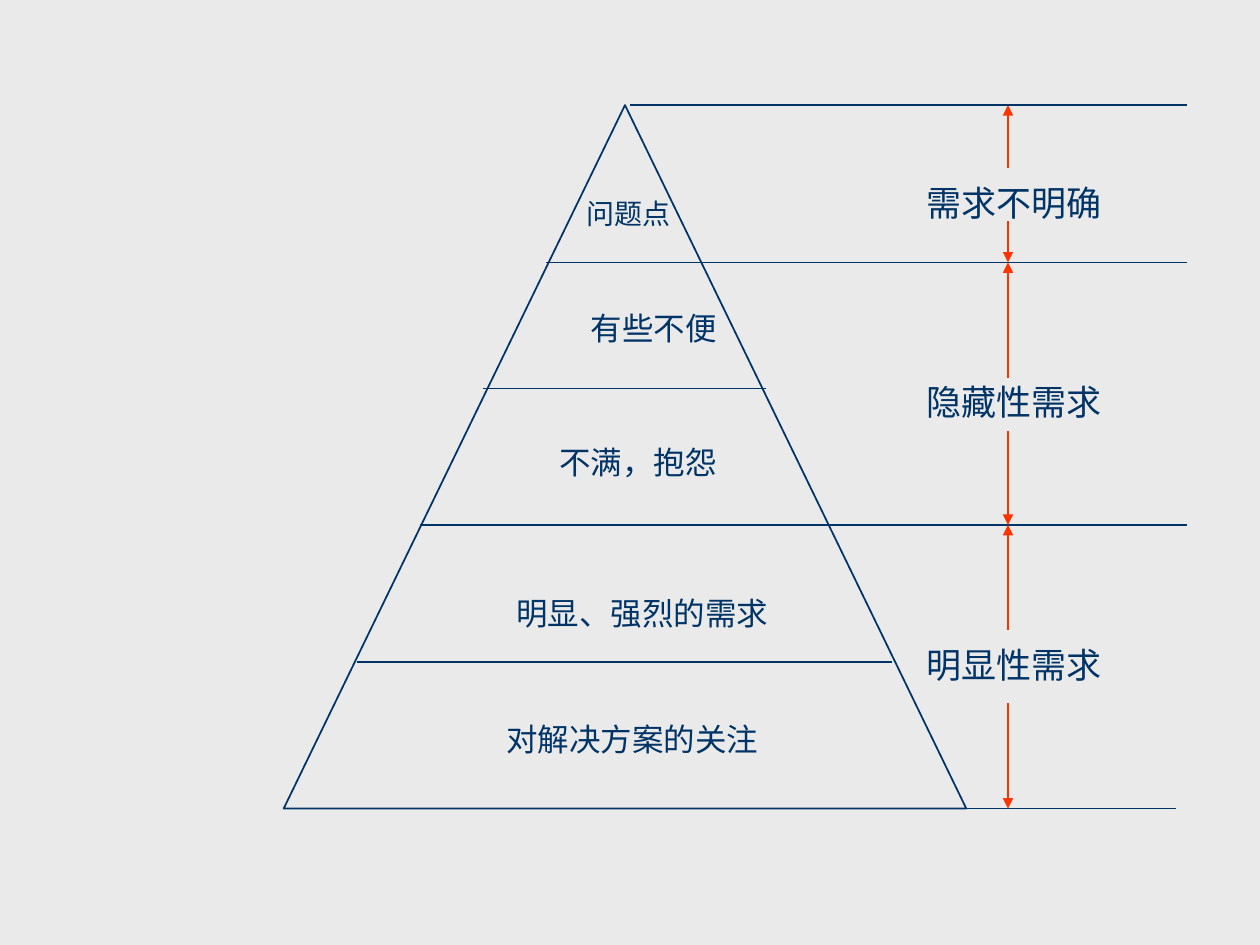
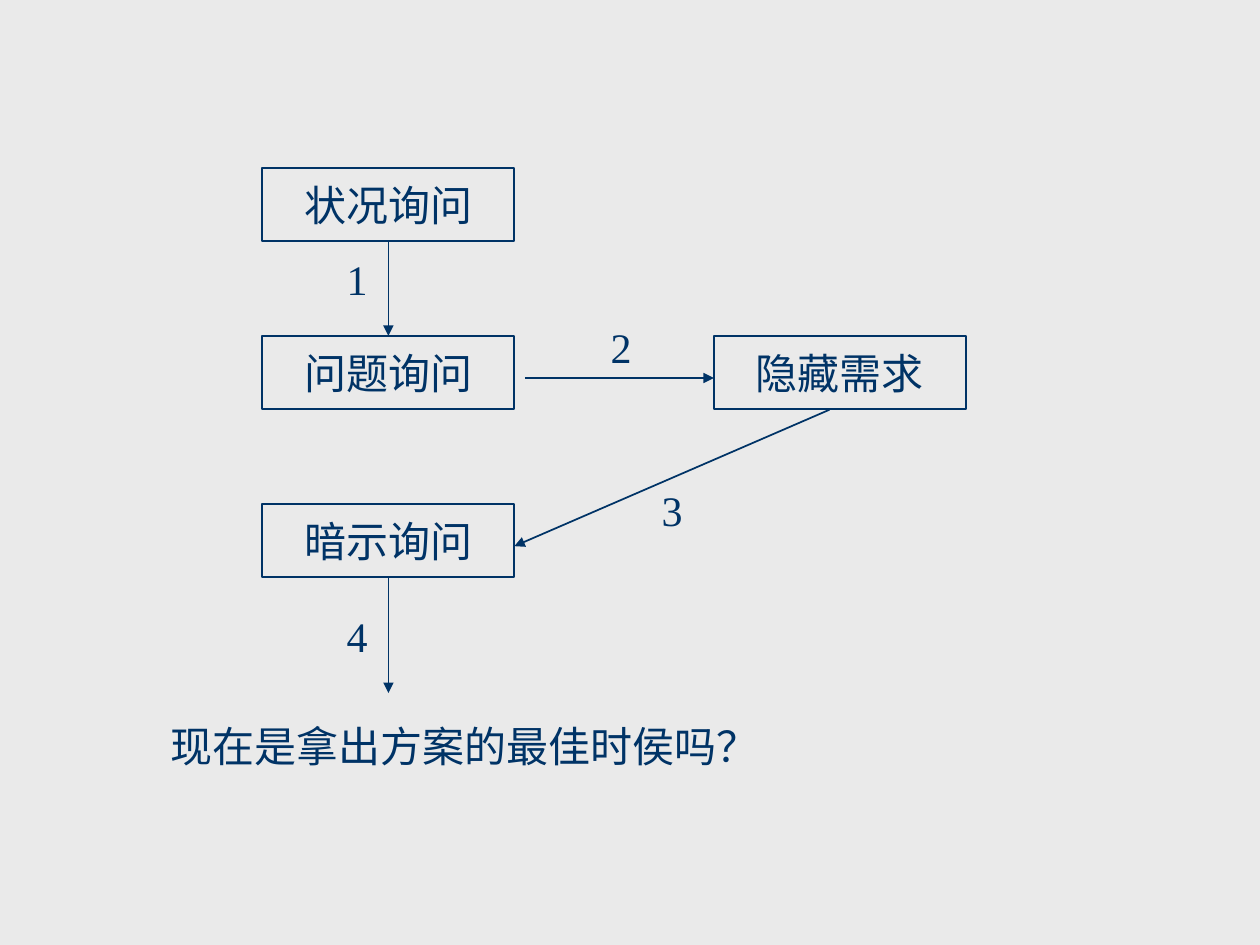
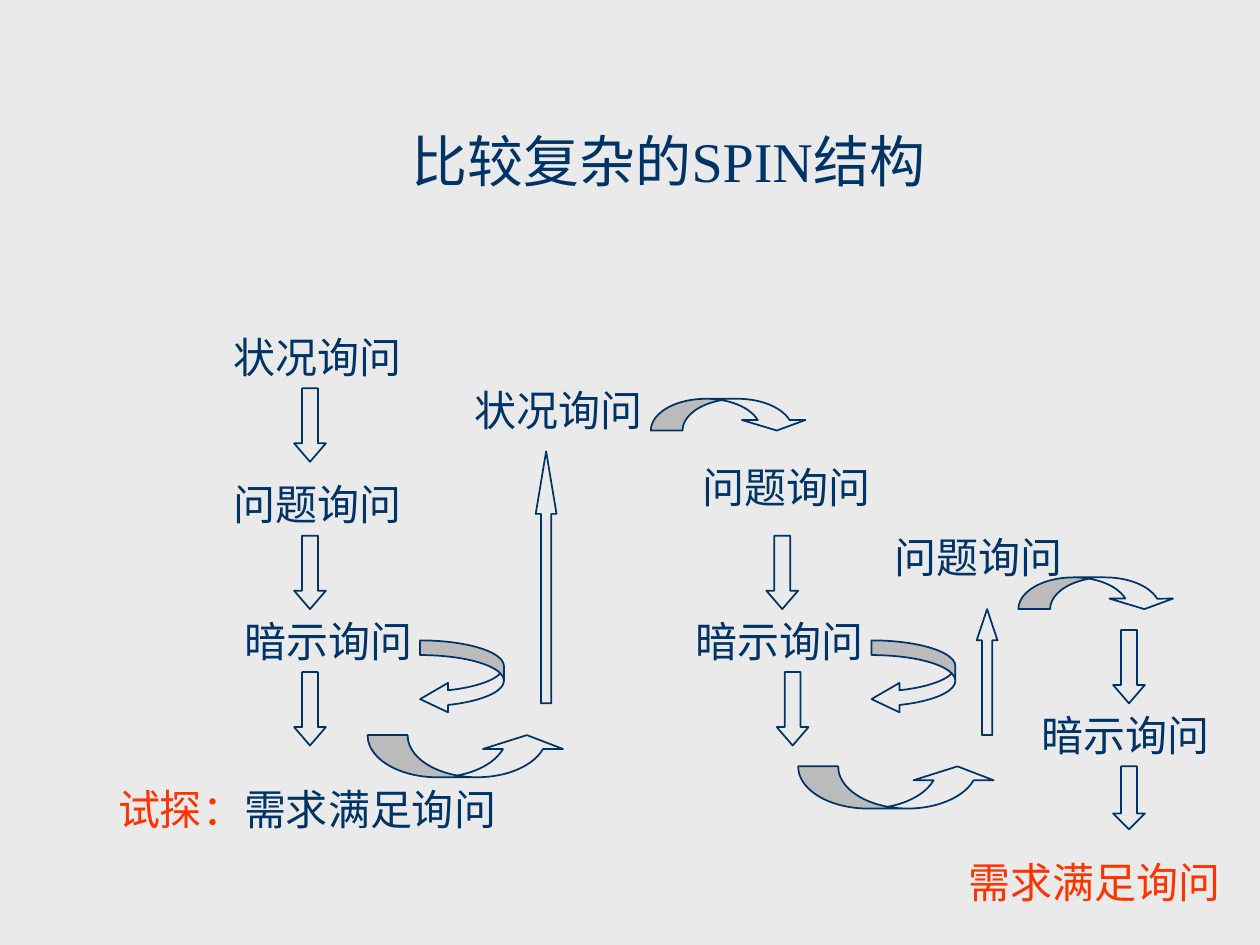
import dataclasses

import pptx
import pptx.dml.color
import pptx.enum.shapes
import pptx.enum.text
import pptx.oxml
import pptx.oxml.ns
import pptx.util

Cm = pptx.util.Cm
Shapes = pptx.enum.shapes.MSO_SHAPE
Align = pptx.enum.text.PP_ALIGN
Anchor = pptx.enum.text.MSO_ANCHOR


@dataclasses.dataclass(frozen=True)
class Theme:
    paper: str = "EAEAEA"
    ink: str = "003366"
    accent: str = "FF3300"
    font: str = "Times New Roman"
    title: int = 32
    text: int = 24
    need: int = 20
    level: int = 18
    peak: int = 16
    line: float = 1


def rgb(code):
    return pptx.dml.color.RGBColor.from_string(code)


class Slides:
    def __init__(self, theme):
        self.theme = theme
        self.deck = pptx.Presentation()
        self.deck.slide_width, self.deck.slide_height = Cm(25.4), Cm(19.05)
        self.page = None
        background = self.deck.slide_master.background.fill
        background.solid()
        background.fore_color.rgb = rgb(theme.paper)

    def new_page(self, title=None):
        layout = self.deck.slide_layouts.get_by_name("Title Only" if title else "Blank")
        self.page = self.deck.slides.add_slide(layout)
        if title:
            holder = self.page.shapes.title
            holder.left, holder.top = Cm(7.77), Cm(2.42)
            holder.width, holder.height = Cm(11.4), Cm(1.62)
            self.set_text(holder.text_frame, [(title, self.theme.ink)],
                          self.theme.title, Align.CENTER)

    def set_text(self, frame, spans, size, align=Align.LEFT, anchor=Anchor.TOP):
        """Fill a frame with one paragraph of (text, colour) spans."""
        frame.word_wrap = False
        frame.vertical_anchor = anchor
        para = frame.paragraphs[0]
        para.alignment = align
        for text, color in spans:
            span = para.add_run()
            span.text = text
            span.font.name = self.theme.font
            span.font.size = pptx.util.Pt(size)
            span.font.color.rgb = rgb(color)

    def label(self, left, top, *spans, size=None):
        """Place a one-line box as wide as its text; plain strings take the ink colour."""
        size = size or self.theme.text
        spans = [(span, self.theme.ink) if isinstance(span, str) else span
                 for span in spans]
        ems = sum(0.5 if mark.isascii() else 1 for text, _ in spans for mark in text)
        em = size * 2.54 / 72
        box = self.page.shapes.add_textbox(
            Cm(left), Cm(top), Cm(ems * em + 0.51), Cm(1.2 * em + 0.25))
        self.set_text(box.text_frame, spans, size)
        box.text_frame.auto_size = pptx.enum.text.MSO_AUTO_SIZE.SHAPE_TO_FIT_TEXT

    def shape(self, kind, left, top, width, height, adjustments=(), text=None):
        shape = self.page.shapes.add_shape(kind, Cm(left), Cm(top), Cm(width), Cm(height))
        for index, value in enumerate(adjustments):
            shape.adjustments[index] = value
        shape.shadow.inherit = False
        shape.fill.solid()
        shape.fill.fore_color.rgb = rgb(self.theme.paper)
        self.stroke(shape.line, self.theme.ink)
        if text:
            self.set_text(shape.text_frame, [(text, self.theme.ink)], self.theme.text,
                          Align.CENTER, Anchor.MIDDLE)

    def stroke(self, line, color):
        line.color.rgb = rgb(color)
        line.width = pptx.util.Pt(self.theme.line)

    def line(self, x1, y1, x2, y2, color=None, arrow=False):
        line = self.page.shapes.add_connector(
            pptx.enum.shapes.MSO_CONNECTOR.STRAIGHT, Cm(x1), Cm(y1), Cm(x2), Cm(y2))
        self.stroke(line.line, color or self.theme.ink)
        if arrow:
            head = pptx.oxml.parse_xml(
                '<a:tailEnd %s type="triangle"/>' % pptx.oxml.ns.nsdecls("a"))
            line.line._get_or_add_ln().append(head)
        line._element.spPr.append(pptx.oxml.parse_xml(
            "<a:effectLst %s/>" % pptx.oxml.ns.nsdecls("a")))


def needs_pyramid(slides):
    theme = slides.theme
    slides.new_page()
    apex, hidden, evident, base = 2.12, 5.29, 10.58, 16.3
    slides.shape(Shapes.ISOSCELES_TRIANGLE, 5.72, apex, 13.76, base - apex)

    for left, right, y in [(7.2, 17.99, 13.34), (8.47, 16.72, evident),
                           (9.74, 15.45, 7.83), (11.01, 14.18, hidden),
                           (12.7, 23.92, apex), (14.18, 23.92, hidden),
                           (16.72, 23.92, evident), (19.48, 23.71, base)]:
        slides.line(left, y, right, y)

    for left, top, text, size in [
            (11.58, 3.84, "问题点", theme.peak),
            (11.66, 6.1, "有些不便", theme.level),
            (11.02, 8.81, "不满，抱怨", theme.level),
            (10.16, 11.86, "明显、强烈的需求", theme.level),
            (9.96, 14.4, "对解决方案的关注", theme.level)]:
        slides.label(left, top, text, size=size)

    axis = 20.32
    for top, gap_top, gap_bottom, bottom, label_top, text in [
            (apex, 3.39, 4.45, hidden, 3.53, "需求不明确"),
            (hidden, 7.62, 8.69, evident, 7.54, "隐藏性需求"),
            (evident, 12.7, 14.18, base, 12.85, "明显性需求")]:
        slides.label(18.42, label_top, text, size=theme.need)
        slides.line(axis, gap_top, axis, top, theme.accent, arrow=True)
        slides.line(axis, gap_bottom, axis, bottom, theme.accent, arrow=True)


def question_flow(slides):
    slides.new_page()
    pitch = 10.16 / 3
    for left, row, text in [(5.29, 1, "状况询问"), (5.29, 2, "问题询问"),
                            (14.39, 2, "隐藏需求"), (5.29, 3, "暗示询问")]:
        slides.shape(Shapes.RECTANGLE, left, row * pitch, 5.08, 1.48, text=text)

    steps = [((7.83, 4.87, 7.83, 6.77), (6.74, 4.98)),
             ((10.58, 7.62, 14.39, 7.62), (12.06, 6.35)),
             ((16.72, 8.26, 10.37, 11.01), (13.09, 9.65)),
             ((7.83, 11.64, 7.83, 13.97), (6.74, 12.19))]
    for number, (ends, place) in enumerate(steps, 1):
        slides.line(*ends, arrow=True)
        slides.label(*place, str(number))
    slides.label(3.18, 14.4, "现在是拿出方案的最佳时侯吗？")


def complex_spin(slides):
    accent = slides.theme.accent
    slides.new_page("比较复杂的SPIN结构")

    for left, top in [(5.93, 7.83), (5.93, 10.8), (5.93, 13.55),
                      (15.45, 10.8), (15.66, 13.55), (22.44, 12.7)]:
        slides.shape(Shapes.DOWN_ARROW, left, top, 0.64, 1.48, (0.5, 0.58))
    slides.shape(Shapes.DOWN_ARROW, 22.44, 15.45, 0.64, 1.27, (0.5, 0.5))
    slides.shape(Shapes.UP_ARROW, 10.8, 9.1, 0.42, 5.08, (0.5, 3))
    slides.shape(Shapes.UP_ARROW, 19.69, 12.28, 0.42, 2.54, (0.5, 1.5))

    curves = [
        (Shapes.CURVED_LEFT_ARROW, (1.69, 1.48), (0.2, 0.4, 0.38),
         [(8.47, 12.91), (17.57, 12.91)]),
        (Shapes.CURVED_UP_ARROW, (4.02, 0.85), (0.95, 1.9, 0.33),
         [(7.41, 14.82), (16.09, 15.45)]),
        (Shapes.CURVED_DOWN_ARROW, (3.18, 0.64), (1, 2, 0.33),
         [(13.12, 8.04), (20.53, 11.64)])]
    for kind, size, adjustments, places in curves:
        for place in places:
            slides.shape(kind, *place, *size, adjustments)

    questions = {
        "状况询问": [(4.45, 6.56), (9.31, 7.62)],
        "问题询问": [(4.45, 9.53), (13.92, 9.17), (17.78, 10.58)],
        "暗示询问": [(4.67, 12.28), (13.77, 12.28), (20.75, 14.18)]}
    for text, places in questions.items():
        for place in places:
            slides.label(*place, text)
    slides.label(2.13, 15.66, ("试探：", accent), "需求满足询问")
    slides.label(19.28, 17.14, ("需求满足询问", accent))


def main():
    slides = Slides(Theme())
    needs_pyramid(slides)
    question_flow(slides)
    complex_spin(slides)
    slides.deck.save("out.pptx")


if __name__ == "__main__":
    main()
